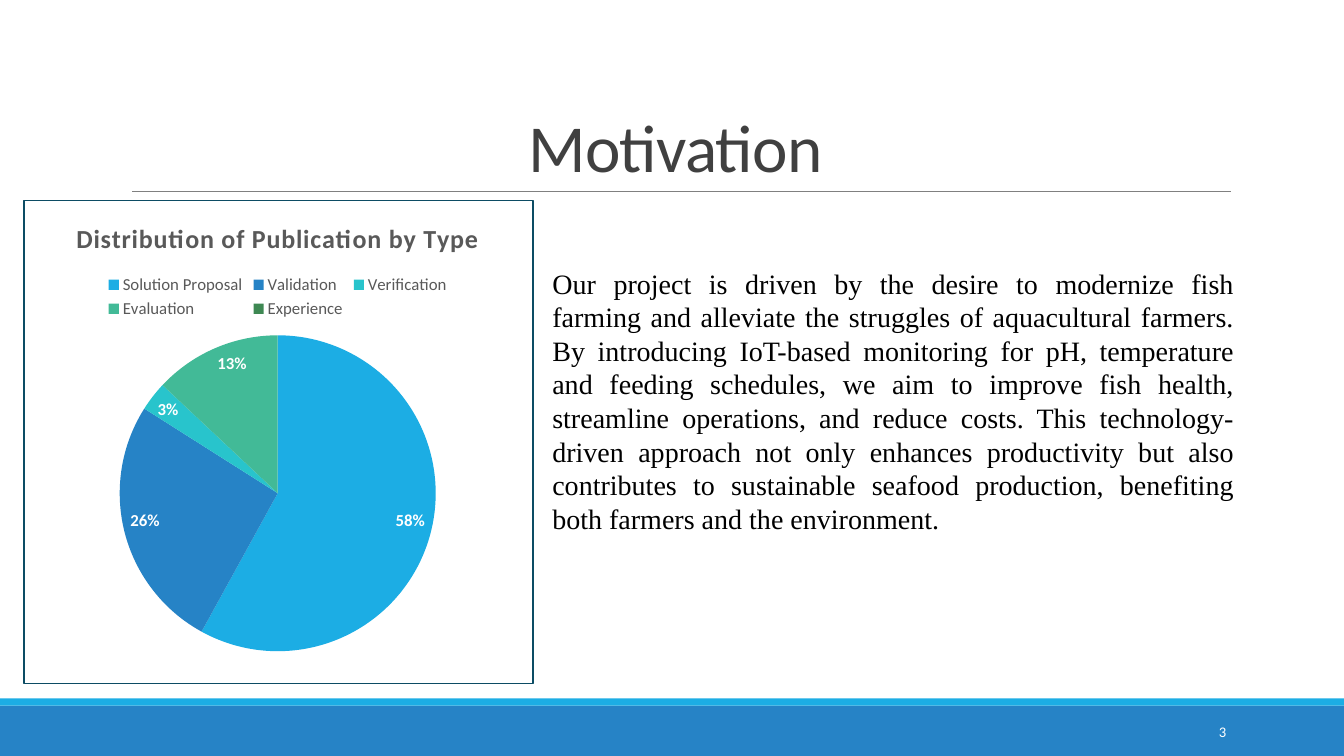
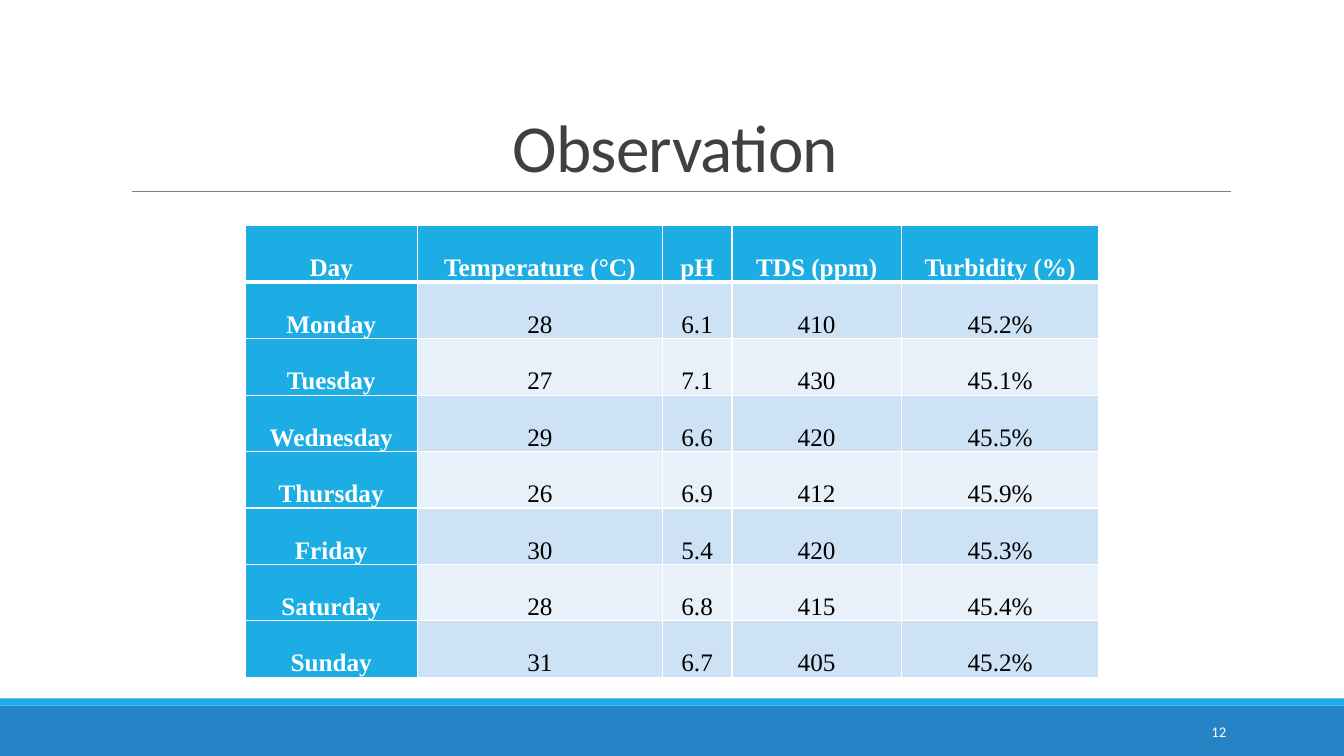
"""Build the Motivation and Observation slides of a fish-farming presentation."""
from lxml import etree
from pptx import Presentation
from pptx.chart.data import CategoryChartData
from pptx.dml.color import RGBColor
from pptx.enum.chart import XL_CHART_TYPE, XL_LABEL_POSITION, XL_LEGEND_POSITION
from pptx.enum.shapes import MSO_CONNECTOR, MSO_SHAPE
from pptx.enum.text import MSO_ANCHOR, PP_ALIGN
from pptx.oxml import parse_xml
from pptx.oxml.ns import nsdecls, qn
from pptx.util import Inches, Pt

PIE = XL_CHART_TYPE.PIE
INSIDE_END = XL_LABEL_POSITION.INSIDE_END
LEGEND_TOP = XL_LEGEND_POSITION.TOP
STRAIGHT = MSO_CONNECTOR.STRAIGHT
RECTANGLE = MSO_SHAPE.RECTANGLE
TOP, MIDDLE, BOTTOM = MSO_ANCHOR.TOP, MSO_ANCHOR.MIDDLE, MSO_ANCHOR.BOTTOM
CENTER, RIGHT, JUSTIFY = PP_ALIGN.CENTER, PP_ALIGN.RIGHT, PP_ALIGN.JUSTIFY

SANS, SERIF = "Calibri", "Times New Roman"
WHITE, BLACK = "FFFFFF", "000000"
SKY, BLUE = "1CADE4", "2683C6"
TITLE_GREY, CHART_GREY, RULE_GREY = "404040", "595959", "808080"
FRAME_TEAL = "0C4C64"
ROW_FILLS = ("CDE3F5", "E8F1FA")

SLIDE_W, SLIDE_H = 13.33, 7.5
BANDS = [((0, 7, SLIDE_W, 0.5), BLUE), ((0, 6.93, SLIDE_W, 0.07), SKY)]
RULE_LEFT, RULE_RIGHT, RULE_TOP = 1.31, 12.21, 1.9
TITLE_BOX = (1.2, 0.31, 11, 1.59)
NUMBER_BOX = (10.83, 7.06, 1.43, 0.4)

MOTIVATION = (
    "Our project is driven by the desire to modernize fish farming and "
    "alleviate the struggles of aquacultural farmers. By introducing IoT-based "
    "monitoring for pH, temperature and feeding schedules, we aim to improve "
    "fish health, streamline operations, and reduce costs. This "
    "technology-driven approach not only enhances productivity but also "
    "contributes to sustainable seafood production, benefiting both farmers "
    "and the environment."
)
MOTIVATION_BOX = (5.38, 2.59, 6.96, 2.79)
FRAME_BOX = (0.24, 1.99, 5.05, 4.79)
CHART_BOX = (0.13, 1.99, 5.25, 4.61)
PIE_AREA = {"x": 0.2, "y": 0.29, "w": 0.6, "h": 0.68}
CHART_TITLE = "Distribution of Publication by Type"
PUBLICATIONS = [
    ("Solution Proposal", 58, SKY),
    ("Validation", 26, BLUE),
    ("Verification", 3, "28C4CC"),
    ("Evaluation", 13, "42BA97"),
    ("Experience", 0, "3E8853"),
]

READINGS = [
    ("Day", "Temperature (°C)", "pH", "TDS (ppm)", "Turbidity (%)"),
    ("Monday", "28", "6.1", "410", "45.2%"),
    ("Tuesday", "27", "7.1", "430", "45.1%"),
    ("Wednesday", "29", "6.6", "420", "45.5%"),
    ("Thursday", "26", "6.9", "412", "45.9%"),
    ("Friday", "30", "5.4", "420", "45.3%"),
    ("Saturday", "28", "6.8", "415", "45.4%"),
    ("Sunday", "31", "6.7", "405", "45.2%"),
]
READINGS_LEFT, READINGS_TOP = 2.43, 2.24
COLUMN_WIDTHS = (1.71, 2.43, 0.69, 1.68, 1.96)
ROW_HEIGHT = 0.56


def rgb(code):
    """Turn a hex string into a colour."""
    return RGBColor.from_string(code)


def inches(box):
    """Turn a box given in inches into lengths."""
    return [Inches(value) for value in box]


def style_font(font, size, color, name=SANS, bold=False):
    """Set the look of a font."""
    font.name, font.size, font.bold = name, Pt(size), bold
    font.color.rgb = rgb(color)


def track(paragraph, points):
    """Set the letter spacing of a paragraph's runs."""
    for run in paragraph.runs:
        run._r.get_or_add_rPr().set("spc", str(int(points * 100)))


def add_rectangle(slide, box, fill, outline=None):
    """Add a flat rectangle with an optional outline."""
    rectangle = slide.shapes.add_shape(RECTANGLE, *inches(box))
    rectangle.shadow.inherit = False
    rectangle.fill.solid()
    rectangle.fill.fore_color.rgb = rgb(fill)
    if outline:
        rectangle.line.color.rgb = rgb(outline)
        rectangle.line.width = Pt(1.25)
    else:
        rectangle.line.fill.background()


def add_text(slide, box, text, size, color, align, anchor=TOP, name=SANS):
    """Add a wrapped one-paragraph text box and return the paragraph."""
    frame = slide.shapes.add_textbox(*inches(box)).text_frame
    frame.word_wrap = True
    frame.vertical_anchor = anchor
    paragraph = frame.paragraphs[0]
    paragraph.text = text
    paragraph.alignment = align
    style_font(paragraph.font, size, color, name)
    return paragraph


def add_base_slide(deck, title, number):
    """Add a slide with the shared bands, rule, title and number."""
    slide = deck.slides.add_slide(deck.slide_layouts[6])
    for box, fill in BANDS:
        add_rectangle(slide, box, fill)
    ends = (RULE_LEFT, RULE_TOP, RULE_RIGHT, RULE_TOP)
    rule = slide.shapes.add_connector(STRAIGHT, *inches(ends))
    rule.line.color.rgb = rgb(RULE_GREY)
    rule.line.width = Pt(0.5)
    etree.SubElement(rule._element.spPr, qn("a:effectLst"))
    heading = add_text(slide, TITLE_BOX, title, 48, TITLE_GREY, CENTER, BOTTOM)
    heading.line_spacing = 0.85
    track(heading, -0.5)
    add_text(slide, NUMBER_BOX, number, 10.5, WHITE, RIGHT, MIDDLE)
    return slide


def place_pie(chart):
    """Fix the pie's area as fractions of the chart."""
    sizes = "".join(f'<c:{key} val="{value}"/>' for key, value in PIE_AREA.items())
    layout = parse_xml(
        f'<c:layout {nsdecls("c")}><c:manualLayout><c:layoutTarget val="inner"/>'
        f'<c:xMode val="edge"/><c:yMode val="edge"/>{sizes}'
        "</c:manualLayout></c:layout>"
    )
    plot_area = chart._chartSpace.chart.plotArea
    for previous in plot_area.findall(qn("c:layout")):
        plot_area.remove(previous)
    plot_area.insert(0, layout)


def add_publication_chart(slide):
    """Add the pie chart of publication types."""
    names, shares, colors = zip(*PUBLICATIONS)
    data = CategoryChartData()
    data.categories = names
    data.add_series(CHART_TITLE, shares)
    chart = slide.shapes.add_chart(PIE, *inches(CHART_BOX), data).chart
    style_font(chart.font, 10, BLACK)

    chart.has_title = True
    heading = chart.chart_title.text_frame.paragraphs[0]
    heading.text = CHART_TITLE
    style_font(heading.font, 18.6, CHART_GREY, bold=True)
    track(heading, 0.5)

    chart.has_legend = True
    chart.legend.position = LEGEND_TOP
    chart.legend.include_in_layout = False
    style_font(chart.legend.font, 12, CHART_GREY)

    pie = chart.plots[0]
    pie.vary_by_categories = True
    for index, color in enumerate(colors):
        fill = pie.series[0].points[index].format.fill
        fill.solid()
        fill.fore_color.rgb = rgb(color)
    pie.has_data_labels = True
    labels = pie.data_labels
    labels.show_percentage, labels.show_value = True, False
    labels.number_format, labels.number_format_is_linked = "0%;;", False
    labels.position = INSIDE_END
    style_font(labels.font, 12, WHITE, bold=True)
    place_pie(chart)


def add_borders(cell, widths):
    """Draw white borders with the given widths per side."""
    properties = cell._tc.get_or_add_tcPr()
    for side, width in widths.items():
        properties.append(parse_xml(
            f'<a:ln{side} {nsdecls("a")} w="{Pt(width)}"><a:solidFill>'
            f'<a:srgbClr val="{WHITE}"/></a:solidFill></a:ln{side}>'
        ))


def fill_cell(cell, text, row, column):
    """Write and style one cell of the readings table."""
    is_header = row == 0 or column == 0
    add_borders(cell, {"L": 1, "R": 1, "T": 3 if row == 1 else 1,
                       "B": 3 if row == 0 else 1})
    cell.fill.solid()
    cell.fill.fore_color.rgb = rgb(SKY if is_header else ROW_FILLS[(row - 1) % 2])
    cell.margin_left = cell.margin_right = Inches(0.07)
    cell.margin_top = cell.margin_bottom = 0
    cell.vertical_anchor = BOTTOM
    paragraph = cell.text_frame.paragraphs[0]
    paragraph.text = text
    paragraph.alignment = CENTER
    paragraph.line_spacing = 1.07
    paragraph.space_after = Pt(8)
    style_font(paragraph.font, 18, WHITE if is_header else BLACK, SERIF, is_header)


def add_readings_table(slide):
    """Add the table of daily water readings."""
    box = (READINGS_LEFT, READINGS_TOP, sum(COLUMN_WIDTHS), ROW_HEIGHT * len(READINGS))
    table = slide.shapes.add_table(
        len(READINGS), len(COLUMN_WIDTHS), *inches(box)).table
    for column, width in zip(table.columns, COLUMN_WIDTHS):
        column.width = Inches(width)
    for row, reading in enumerate(READINGS):
        table.rows[row].height = Inches(ROW_HEIGHT)
        for column, text in enumerate(reading):
            fill_cell(table.cell(row, column), text, row, column)


def main():
    """Build and save the deck."""
    deck = Presentation()
    deck.slide_width, deck.slide_height = Inches(SLIDE_W), Inches(SLIDE_H)

    motivation = add_base_slide(deck, "Motivation", "3")
    add_rectangle(motivation, FRAME_BOX, WHITE, FRAME_TEAL)
    add_text(motivation, MOTIVATION_BOX, MOTIVATION, 20, BLACK, JUSTIFY, name=SERIF)
    add_publication_chart(motivation)

    observation = add_base_slide(deck, "Observation", "12")
    add_readings_table(observation)

    deck.save("out.pptx")


if __name__ == "__main__":
    main()
